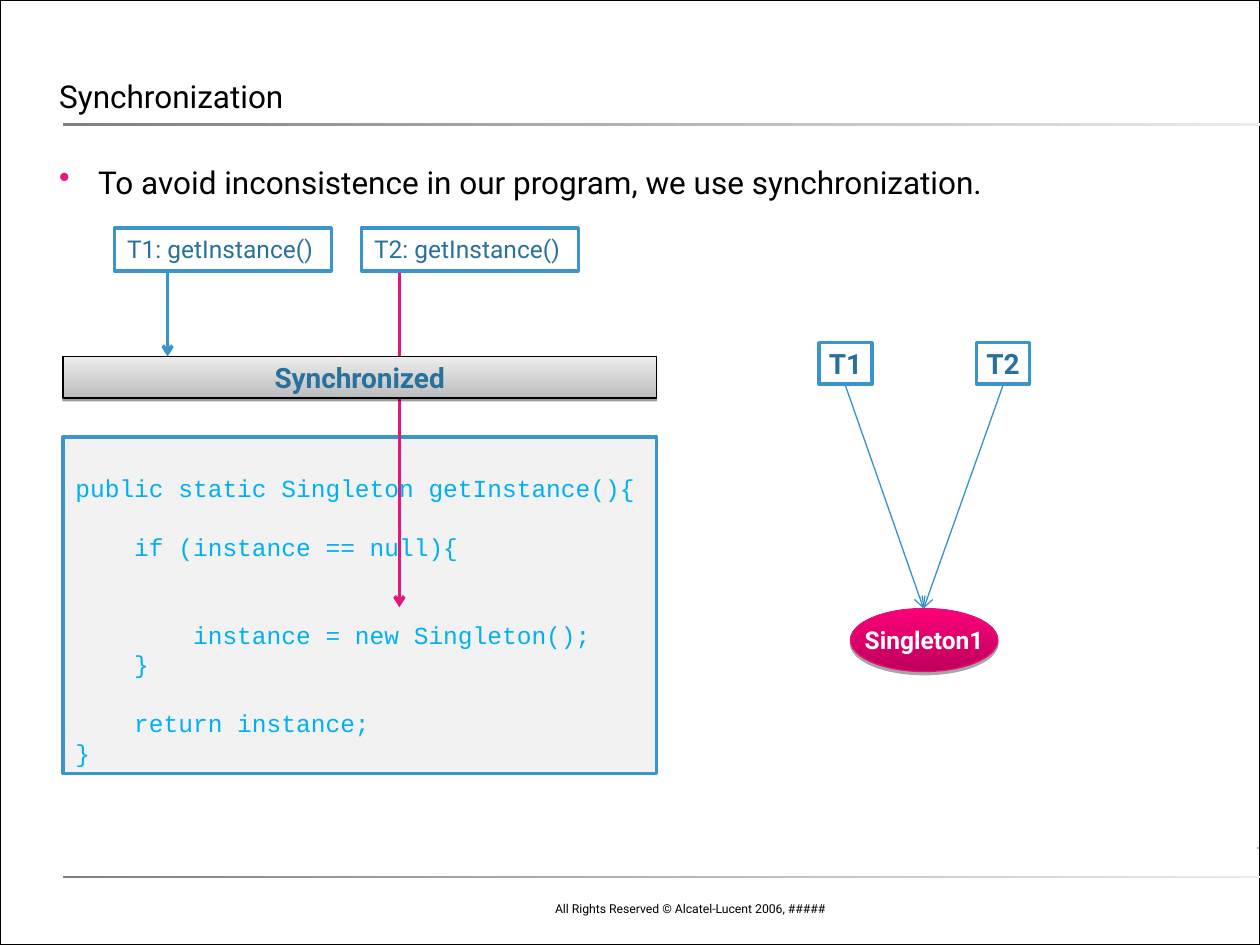
from lxml import etree
from pptx import Presentation
from pptx import util as u
from pptx.dml.color import RGBColor
from pptx.enum import shapes, text
from pptx.oxml import ns

BLACK = RGBColor(0x00, 0x00, 0x00)
WHITE = RGBColor(0xFF, 0xFF, 0xFF)
PALE_GRAY = RGBColor(0xF2, 0xF2, 0xF2)
BLUE = RGBColor(0x3B, 0x95, 0xCC)
THIN_BLUE = RGBColor(0x36, 0x92, 0xCB)
DARK_BLUE = RGBColor(0x29, 0x71, 0x9D)
CODE_BLUE = RGBColor(0x00, 0xB0, 0xF0)
PINK = RGBColor(0xE1, 0x19, 0x7D)
OVAL_EDGE = RGBColor(0xE1, 0x13, 0x7A)
RULE_GRADIENT = (RGBColor(0x80, 0x80, 0x80), RGBColor(0xEB, 0xEB, 0xEB))
MARK_GRADIENT = (RGBColor(0x80, 0x80, 0x80), RGBColor(0xD7, 0xD7, 0xD7))
BAR_GRADIENT = (RGBColor(0xBC, 0xBC, 0xBC), RGBColor(0xED, 0xED, 0xED))
OVAL_GRADIENT = (RGBColor(0xBD, 0x00, 0x5B), RGBColor(0xFD, 0x00, 0x79))
RECTANGLE = shapes.MSO_SHAPE.RECTANGLE
CENTER = text.PP_ALIGN.CENTER
FONT = "Roboto"

presentation = Presentation()
presentation.slide_width = u.Inches(10)
presentation.slide_height = u.Inches(7.5)
CELL = presentation.slide_width // 100  # grid of 100 columns by 75 rows

slide = presentation.slides.add_slide(presentation.slide_layouts[5])


def add_box(place, fill=None, edge=None, weight=2, kind=RECTANGLE, angle=0, shadow=None):
    """Place is left, top, width, height in cells; shadow is (opacity %, distance pt)."""
    shape = slide.shapes.add_shape(kind, *(round(n * CELL) for n in place))
    if fill is None:
        shape.fill.background()
    elif isinstance(fill, RGBColor):
        shape.fill.solid()
        shape.fill.fore_color.rgb = fill
    else:
        shape.fill.gradient()
        shape.fill.gradient_angle = angle
        for stop, color in zip(shape.fill.gradient_stops, fill):
            stop.color.rgb = color
    if edge is None:
        shape.line.fill.background()
    else:
        shape.line.color.rgb = edge
        shape.line.width = u.Pt(weight)
    shape.shadow.inherit = False
    if shadow:
        effects = shape._element.spPr.find(ns.qn("a:effectLst"))
        outer = etree.SubElement(effects, ns.qn("a:outerShdw"), blurRad="0",
                                 dist=str(u.Pt(shadow[1])), dir="5400000", rotWithShape="0")
        color = etree.SubElement(outer, ns.qn("a:srgbClr"), val=str(BLACK))
        etree.SubElement(color, ns.qn("a:alpha"), val=str(shadow[0] * 1000))
    return shape


def write(shape, lines, size, color, bold=False, align=text.PP_ALIGN.LEFT,
          anchor=text.MSO_ANCHOR.TOP, margins=(0, 0), wrap=False, font=FONT):
    """Margins are the side and the top/bottom insets in cells."""
    frame = shape.text_frame
    frame.text = lines
    frame.word_wrap = wrap
    frame.auto_size = text.MSO_AUTO_SIZE.NONE
    frame.vertical_anchor = anchor
    frame.margin_left = frame.margin_right = round(margins[0] * CELL)
    frame.margin_top = frame.margin_bottom = round(margins[1] * CELL)
    for paragraph in frame.paragraphs:
        paragraph.alignment = align
        for run in paragraph.runs:
            run.font.name = font
            run.font.size = u.Pt(size)
            run.font.bold = bold
            run.font.color.rgb = color
    return frame


# Page frame, rules and footer
add_box((99.8, 67.2, 0.1, 0.2), MARK_GRADIENT)
add_box((0, 0, 100, 75), edge=BLACK, weight=1)
for top in (69.5, 9.8):
    add_box((5, top, 95.3, 0.2), RULE_GRADIENT)
footer = slide.shapes.add_textbox(35 * CELL, round(70.7 * CELL), round(31.5 * CELL), round(2.5 * CELL))
write(footer, "All Rights Reserved © Alcatel-Lucent 2006, #####", 7, BLACK, wrap=True,
      align=text.PP_ALIGN.RIGHT, anchor=text.MSO_ANCHOR.BOTTOM, margins=(1, 0.5))

# Title and bullet
title = slide.shapes.title
title.left, title.top, title.width, title.height = (round(n * CELL) for n in (4.7, 0.8, 90.6, 8.3))
frame = write(title, "Synchronization", 18, BLACK, anchor=text.MSO_ANCHOR.BOTTOM, wrap=True)
frame.paragraphs[0].line_spacing = 1.2

body = slide.shapes.add_textbox(*(round(n * CELL) for n in (4.7, 12.9, 90.6, 49.5)))
frame = write(body, "To avoid inconsistence in our program, we use synchronization.", 18, BLACK, wrap=True)
properties = frame.paragraphs[0]._p.get_or_add_pPr()
properties.set("marL", str(round(3.1 * CELL)))
properties.set("indent", str(-round(3.1 * CELL)))
bullet_color = etree.SubElement(properties, ns.qn("a:buClr"))
etree.SubElement(bullet_color, ns.qn("a:srgbClr"), val=str(PINK))
etree.SubElement(properties, ns.qn("a:buChar"), char="•")

# Code: each line with the number of empty lines above it
CODE = [
    (0, "public static Singleton getInstance(){"),
    (1, "    if (instance == null){"),
    (2, "        instance = new Singleton();"),
    (0, "    }"),
    (1, "    return instance;"),
    (0, "}"),
]
LINE_PITCH = u.Pt(16.8)
code_box = add_box((5, 34.7, 47.1, 26.7), PALE_GRAY, BLUE)
frame = write(code_box, "\n".join(line for gap, line in CODE), 14, CODE_BLUE,
              margins=(1, 0.5), wrap=True, font="Courier New")
frame.margin_top += LINE_PITCH
for paragraph, (gap, line) in zip(frame.paragraphs, CODE):
    paragraph.line_spacing = LINE_PITCH
    if gap:
        paragraph.space_before = u.Pt(gap * LINE_PITCH.pt)

# Arrows: start, end, color, weight
ARROWS = [
    ((13.3, 18.9), (13.3, 28.3), BLUE, 2),
    ((31.7, 18.9), (31.7, 48.2), PINK, 2),
    ((67.1, 30.6), (73.3, 48.3), THIN_BLUE, 0.75),
    ((79.6, 30.6), (73.3, 48.3), THIN_BLUE, 0.75),
]
for start, end, color, weight in ARROWS:
    arrow = slide.shapes.add_connector(shapes.MSO_CONNECTOR.STRAIGHT,
                                       *(round(n * CELL) for n in start + end))
    arrow.line.color.rgb = color
    arrow.line.width = u.Pt(weight)
    etree.SubElement(arrow.line._get_or_add_ln(), ns.qn("a:tailEnd"), type="arrow")
    etree.SubElement(arrow._element.spPr, ns.qn("a:effectLst"))

# Threads: calls on the left, references on the right
for number in range(2):
    name = f"T{number + 1}"
    call = add_box((9.1 + 19.6 * number, 18.1, 17.2, 3.4), WHITE, BLUE)
    write(call, f"{name}: getInstance()", 14, DARK_BLUE, margins=(1, 0.5))
    thread = add_box((65 + 12.5 * number, 27.2, 4.2, 3.3), WHITE, BLUE)
    write(thread, name, 16, DARK_BLUE, True, CENTER, text.MSO_ANCHOR.MIDDLE)

singleton = add_box((67.5, 48.3, 11.7, 5), OVAL_GRADIENT, OVAL_EDGE, 0.75,
                    shapes.MSO_SHAPE.OVAL, 90, (35, 1.8))
write(singleton, "Singleton1", 14, WHITE, True, CENTER, text.MSO_ANCHOR.MIDDLE)

lock_bar = add_box((5, 28.3, 47.1, 3.3), BAR_GRADIENT, BLACK, 0.75, angle=90, shadow=(38, 1.6))
write(lock_bar, "Synchronized", 16, DARK_BLUE, True, CENTER, text.MSO_ANCHOR.MIDDLE)

presentation.save("out.pptx")
